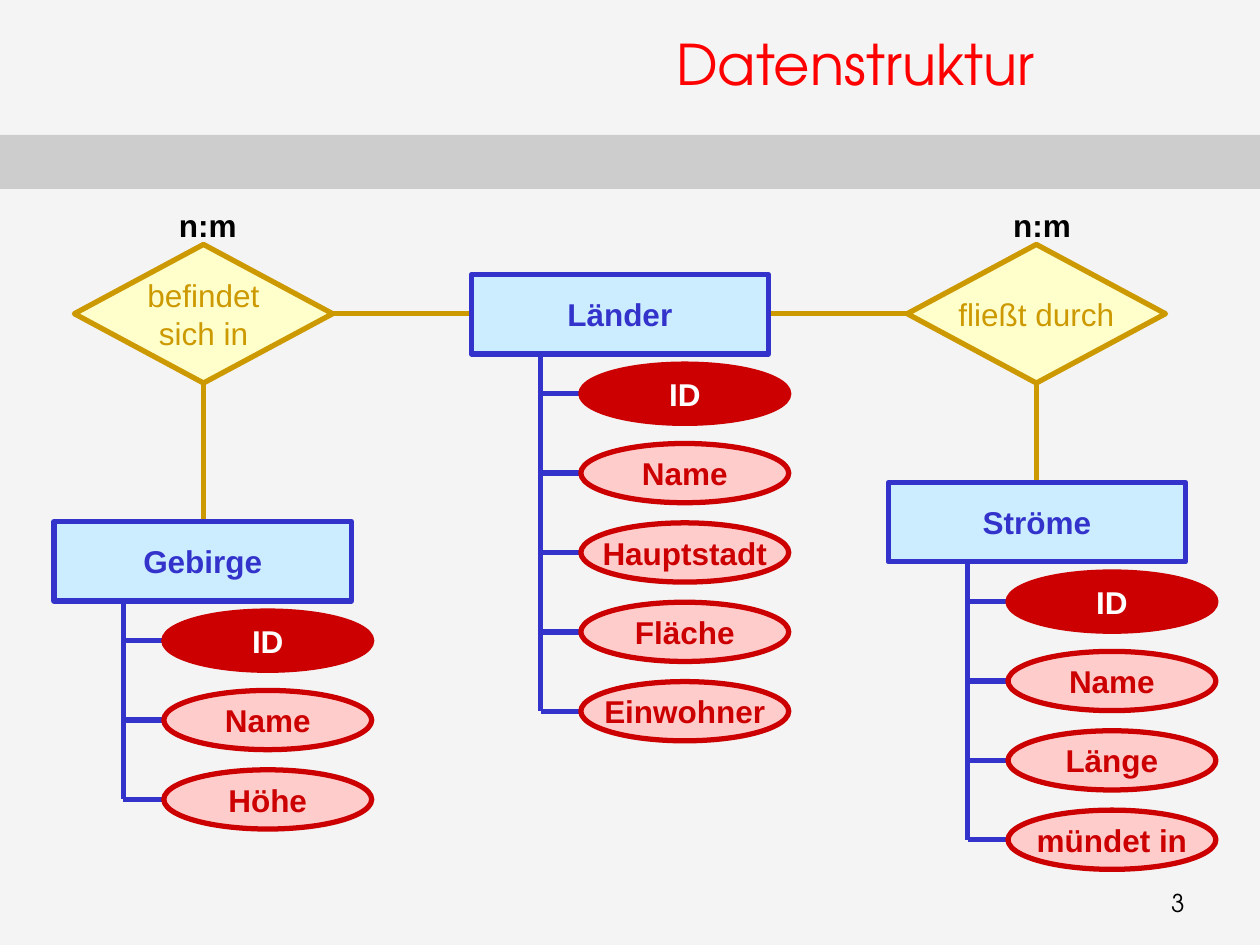
from dataclasses import dataclass

from lxml.etree import SubElement
from pptx import Presentation
from pptx.dml.color import RGBColor
from pptx.enum.shapes import MSO_CONNECTOR, MSO_SHAPE
from pptx.enum.text import MSO_ANCHOR, PP_ALIGN
from pptx.oxml.ns import qn
from pptx.shapes.autoshape import Shape
from pptx.slide import Slide
from pptx.util import Inches, Pt

COLORS = {
    "background": "F4F4F4",
    "band": "CDCDCD",
    "title": "FF0000",
    "black": "000000",
    "white": "FFFFFF",
    "blue": "3333CC",
    "light_blue": "CCECFF",
    "gold": "CC9900",
    "light_yellow": "FFFFCC",
    "red": "CC0000",
    "light_red": "FFCCCC",
}
TITLE_FONT = "TeX Gyre Adventor"
BODY_FONT = "Arial"
LINE_WIDTH = Pt(3)

ENTITY_WIDTH, ENTITY_HEIGHT = 2.36, 0.63
RELATION_WIDTH, RELATION_HEIGHT = 2.05, 1.1
RELATION_TOP = 1.94
ATTRIBUTE_WIDTH, ATTRIBUTE_HEIGHT = 1.65, 0.47
ATTRIBUTE_STEP = 0.63
FIRST_ATTRIBUTE = 0.71
SPOKE_LENGTH = 0.32


@dataclass
class Entity:
    name: str
    left: float
    top: float
    stem_offset: float
    attributes: list[str]


@dataclass
class Relation:
    lines: list[str]
    left: float
    label_left: float
    target: Entity


def color(name: str) -> RGBColor:
    return RGBColor.from_string(COLORS[name])


def write(box: Shape, lines: list[str], ink: str, bold: bool = False,
          size: int = 18, font: str = BODY_FONT, wrap: bool = False,
          align: PP_ALIGN = PP_ALIGN.CENTER,
          anchor: MSO_ANCHOR = MSO_ANCHOR.MIDDLE) -> None:
    frame = box.text_frame
    frame.word_wrap = wrap
    frame.vertical_anchor = anchor
    for index, line in enumerate(lines):
        para = frame.add_paragraph() if index else frame.paragraphs[0]
        para.alignment = align
        span = para.add_run()
        span.text = line
        span.font.name = font
        span.font.size = Pt(size)
        span.font.bold = bold
        span.font.color.rgb = color(ink)


def add_figure(page: Slide, kind: MSO_SHAPE, left: float, top: float,
               width: float, height: float, fill: str,
               outline: str | None = None) -> Shape:
    figure = page.shapes.add_shape(
        kind, Inches(left), Inches(top), Inches(width), Inches(height))
    figure.shadow.inherit = False
    figure.fill.solid()
    figure.fill.fore_color.rgb = color(fill)
    if outline:
        figure.line.color.rgb = color(outline)
        figure.line.width = LINE_WIDTH
    else:
        figure.line.fill.background()
    return figure


def add_line(page: Slide, start: tuple[float, float],
             end: tuple[float, float], ink: str) -> None:
    line = page.shapes.add_connector(
        MSO_CONNECTOR.STRAIGHT, *(Inches(value) for value in (*start, *end)))
    line.line.color.rgb = color(ink)
    line.line.width = LINE_WIDTH
    SubElement(line._element.spPr, qn("a:effectLst"))


def add_text_box(page: Slide, left: float, top: float,
                 width: float, height: float) -> Shape:
    return page.shapes.add_textbox(
        Inches(left), Inches(top), Inches(width), Inches(height))


def draw_entity(page: Slide, entity: Entity) -> None:
    box = add_figure(page, MSO_SHAPE.RECTANGLE, entity.left, entity.top,
                     ENTITY_WIDTH, ENTITY_HEIGHT, "light_blue", "blue")
    write(box, [entity.name], "blue", bold=True)

    stem = entity.left + entity.stem_offset
    tops = [entity.top + FIRST_ATTRIBUTE + ATTRIBUTE_STEP * index
            for index in range(len(entity.attributes))]
    middles = [top + ATTRIBUTE_HEIGHT / 2 for top in tops]
    add_line(page, (stem, entity.top + ENTITY_HEIGHT), (stem, middles[-1]), "blue")
    for middle in middles:
        add_line(page, (stem + SPOKE_LENGTH, middle), (stem, middle), "blue")
    for name, top in zip(entity.attributes, tops):
        is_key = name == "ID"
        oval = add_figure(page, MSO_SHAPE.OVAL, stem + SPOKE_LENGTH, top,
                          ATTRIBUTE_WIDTH, ATTRIBUTE_HEIGHT,
                          "red" if is_key else "light_red", "red")
        write(oval, [name], "white" if is_key else "red", bold=True)


def draw_relation(page: Slide, relation: Relation, hub: Entity) -> None:
    center = relation.left + RELATION_WIDTH / 2
    middle = RELATION_TOP + RELATION_HEIGHT / 2
    if relation.left < hub.left:
        near, hub_edge = relation.left + RELATION_WIDTH, hub.left
    else:
        near, hub_edge = relation.left, hub.left + ENTITY_WIDTH
    add_line(page, (near, middle), (hub_edge, middle), "gold")
    add_line(page, (center, RELATION_TOP + RELATION_HEIGHT),
             (center, relation.target.top), "gold")
    label = add_text_box(page, relation.label_left, 1.55, 1.34, 0.47)
    write(label, ["n:m"], "black", bold=True)
    diamond = add_figure(page, MSO_SHAPE.DIAMOND, relation.left, RELATION_TOP,
                         RELATION_WIDTH, RELATION_HEIGHT, "light_yellow", "gold")
    write(diamond, relation.lines, "gold")


def main() -> None:
    deck = Presentation()
    deck.slide_width, deck.slide_height = Inches(10), Inches(7.5)
    page = deck.slides.add_slide(deck.slide_layouts[5])
    page.background.fill.solid()
    page.background.fill.fore_color.rgb = color("background")

    add_figure(page, MSO_SHAPE.RECTANGLE, 0, 1.07, 10, 0.43, "band")
    title = page.shapes.title
    title.left, title.top = Inches(3.58), Inches(0)
    title.width, title.height = Inches(6.42), Inches(1)
    write(title, ["Datenstruktur"], "title", size=32, font=TITLE_FONT, wrap=True)

    countries = Entity("Länder", 3.74, 2.18, 0.55,
                       ["ID", "Name", "Hauptstadt", "Fläche", "Einwohner"])
    rivers = Entity("Ströme", 7.05, 3.83, 0.63,
                    ["ID", "Name", "Länge", "mündet in"])
    mountains = Entity("Gebirge", 0.43, 4.14, 0.55, ["ID", "Name", "Höhe"])
    relations = [
        Relation(["befindet", "sich in"], 0.59, 0.98, mountains),
        Relation(["fließt durch"], 7.2, 7.6, rivers),
    ]
    for relation in relations:
        draw_relation(page, relation, countries)
    for entity in (mountains, countries, rivers):
        draw_entity(page, entity)

    number = add_text_box(page, 7.42, 7, 2.08, 0.5)
    write(number, ["3"], "black", size=14, font=TITLE_FONT, wrap=True,
          align=PP_ALIGN.RIGHT, anchor=MSO_ANCHOR.TOP)

    deck.save("out.pptx")


if __name__ == "__main__":
    main()
